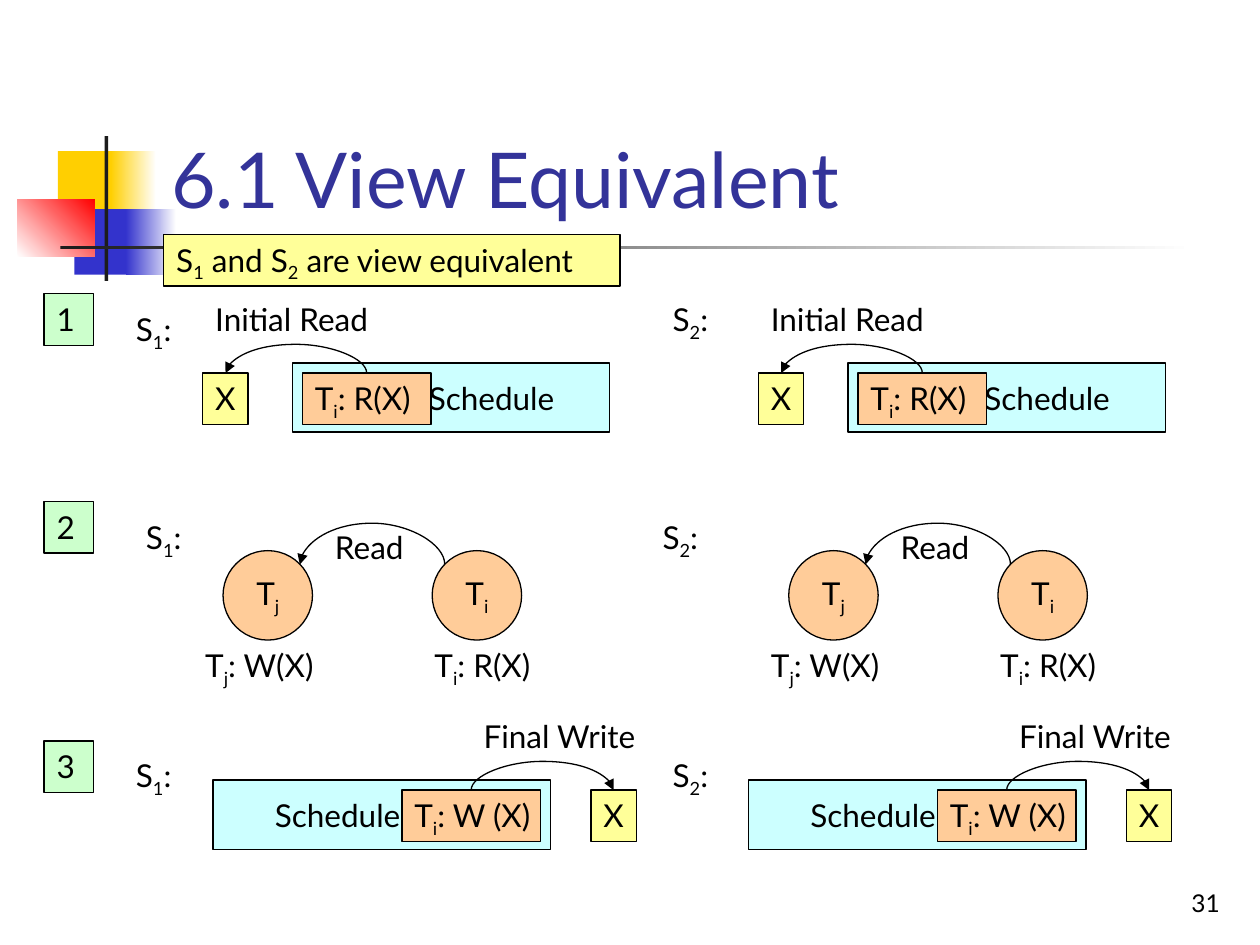
from lxml import etree
from pptx import Presentation
from pptx.dml.color import RGBColor
from pptx.enum.shapes import MSO_CONNECTOR, MSO_SHAPE
from pptx.enum.text import MSO_ANCHOR, PP_ALIGN
from pptx.oxml.ns import qn
from pptx.util import Emu, Inches, Pt

RECT, OVAL = MSO_SHAPE.RECTANGLE, MSO_SHAPE.OVAL
LEFT, CENTER, RIGHT = PP_ALIGN.LEFT, PP_ALIGN.CENTER, PP_ALIGN.RIGHT
TOP, MIDDLE, BOTTOM = MSO_ANCHOR.TOP, MSO_ANCHOR.MIDDLE, MSO_ANCHOR.BOTTOM
FONT = "Lato"
BLACK, GREEN, YELLOW, ORANGE, CYAN = "000000", "CCFFCC", "FFFF99", "FFCC99", "CCFFFF"
LINE_H, BOX_H = 0.4, 0.41
THIN = 1588  # nearly flat extent of an arc, in EMU

# Content: an underscore makes the next character a subscript
TITLE = "6.1 View Equivalent"
CLAIM = "S_1 and S_2 are view equivalent"
PAGE = "31"
CONDITIONS = [("1", 2.33), ("2", 3.98), ("3", 5.88)]
SCHEDULE_LABELS = [
    ("S_1:", 0.98, 2.41), ("S_2:", 5.24, 2.33),
    ("S_1:", 1.06, 4.06), ("S_2:", 5.16, 4.06),
    ("S_1:", 0.98, 5.95), ("S_2:", 5.24, 5.95),
]
# Left edges of the two copies of each diagram
READ_LEFTS, PAIR_LEFTS, WRITE_LEFTS = (1.61, 6.02), (1.53, 6.02), (1.69, 5.94)

# Ornament: left, top, width, height, colours (two make a gradient), angle
ORNAMENT = [
    (0.46, 1.2, 0.48, 0.52, ["FFCF01"], 0),
    (0.88, 1.2, 0.36, 0.52, ["FFCF01", "FFFFFF"], 0),
    (0.59, 1.66, 0.46, 0.52, ["3333CC"], 0),
    (1, 1.66, 0.4, 0.52, ["3333CC", "FFFFFF"], 0),
    (0.14, 1.58, 0.61, 0.46, ["FFFFFF", "FF0000"], 45),
    (0.83, 1.08, 0.03, 1.15, ["1C1C1C"], 0),
    (0.48, 1.95, 9, 0.03, ["1C1C1C", "FFFFFF"], 0),
]

prs = Presentation()
prs.slide_width, prs.slide_height = Inches(10), Inches(7.5)
s = prs.slides.add_slide(prs.slide_layouts[5])


def rgb(value):
    return RGBColor.from_string(value)


def write(sp, text, size=18, color=BLACK, align=LEFT, anchor=TOP, wrap=True):
    tf = sp.text_frame
    tf.word_wrap, tf.vertical_anchor = wrap, anchor
    p = tf.paragraphs[0]
    p.alignment = align
    first, *rest = text.split("_")
    pieces = [(first, False)]
    for part in rest:
        pieces += [(part[0], True), (part[1:], False)]
    for piece, is_sub in pieces:
        if not piece:
            continue
        r = p.add_run()
        r.text = piece
        r.font.name, r.font.size = FONT, Pt(size)
        r.font.color.rgb = rgb(color)
        if is_sub:
            r._r.get_or_add_rPr().set("baseline", "-25000")


def label(text, x, y, w, h=LINE_H, **style):
    sp = s.shapes.add_textbox(Inches(x), Inches(y), Inches(w), Inches(h))
    write(sp, text, **style)


def box(text, x, y, w, h, fill, kind=RECT, **style):
    sp = s.shapes.add_shape(kind, Inches(x), Inches(y), Inches(w), Inches(h))
    sp.shadow.inherit = False
    sp.fill.solid()
    sp.fill.fore_color.rgb = rgb(fill)
    sp.line.color.rgb = rgb(BLACK)
    sp.line.width = Pt(0.75)
    write(sp, text, **style)
    return sp


def schedule(x, y, w, pad_left=0.1, pad_right=0.1):
    sp = box("Schedule", x, y, w, 0.55, CYAN, align=CENTER, anchor=MIDDLE)
    sp.text_frame.margin_left = Inches(pad_left)
    sp.text_frame.margin_right = Inches(pad_right)


def arc(start, end, x1, x2, y, rise, sites=(0, 0)):
    """Curved arrow that leaves one shape upwards and comes down on another."""
    c = s.shapes.add_connector(MSO_CONNECTOR.CURVE, 0, 0, 0, 0)
    c.begin_connect(start, 0)
    c.end_connect(end, 0)
    for tag, site in zip(("a:stCxn", "a:endCxn"), sites):
        next(c._element.iter(qn(tag))).set("idx", str(site))
    # The curve is drawn upright, then turned a quarter
    span = Inches(abs(x2 - x1))
    c.left = Emu(Inches((x1 + x2) / 2) - THIN // 2)
    c.top = Emu(Inches(y) - span // 2)
    c.width, c.height = Emu(THIN), span
    spPr = c._element.spPr
    xfrm = spPr.find(qn("a:xfrm"))
    leftward = x2 < x1
    xfrm.set("rot", str((270 if leftward else 90) * 60000))
    xfrm.set("flipH", "1" if leftward else "0")
    xfrm.set("flipV", "1")
    geom = spPr.find(qn("a:prstGeom"))
    guides = geom.find(qn("a:avLst"))
    if guides is None:
        guides = etree.SubElement(geom, qn("a:avLst"))
    adjust = -round(Inches(rise) / THIN * 100000)
    etree.SubElement(guides, qn("a:gd"), name="adj1", fmla=f"val {adjust}")
    c.line.color.rgb = rgb(BLACK)
    c.line.width = Pt(0.75)
    etree.SubElement(spPr.find(qn("a:ln")), qn("a:tailEnd"), type="triangle")
    etree.SubElement(spPr, qn("a:effectLst"))


def initial_read(x):
    y = 2.96
    schedule(x + 0.71, y - 0.08, 2.52, pad_left=0.74)
    item = box("X", x, y, 0.36, BOX_H, YELLOW, wrap=False)
    action = box("T_i: R(X)", x + 0.79, y, 1.02, BOX_H, ORANGE)
    arc(action, item, x + 1.3, x + 0.18, y, 0.25)
    label("Initial Read", x, 2.33, 1.46)


def read_from(x):
    y, d = 4.37, 0.71
    writer, reader = [
        box(name, x + dx, y, d, d, ORANGE, OVAL, align=CENTER, anchor=MIDDLE, wrap=False)
        for name, dx in (("T_j", 0.24), ("T_i", 1.9))
    ]
    arc(reader, writer, x + 2, x + 0.85, y + 0.11, 0.36, sites=(1, 7))
    label("T_i: R(X)", x + 1.82, y + d, 1.04)
    label("T_j: W(X)", x, y + d, 1.12)
    label("Read", x + 1.03, 4.14, 0.79)


def final_write(x):
    y = 6.27
    schedule(x, y - 0.08, 2.68, pad_right=0.8)
    item = box("X", x + 3, y, 0.36, BOX_H, YELLOW, wrap=False)
    action = box("T_i: W (X)", x + 1.5, y, 1.1, BOX_H, ORANGE, wrap=False)
    arc(action, item, x + 2.05, x + 3.18, y, 0.25)
    label("Final Write", x + 2.05, 5.64, 1.42, wrap=False)


# Ornament behind the title
for x, y, w, h, colors, angle in ORNAMENT:
    sp = s.shapes.add_shape(RECT, Inches(x), Inches(y), Inches(w), Inches(h))
    sp.shadow.inherit = False
    sp.line.fill.background()
    if len(colors) == 1:
        sp.fill.solid()
        sp.fill.fore_color.rgb = rgb(colors[0])
    else:
        sp.fill.gradient()
        sp.fill.gradient_angle = angle
        for stop, color in zip(sp.fill.gradient_stops, colors):
            stop.color.rgb = rgb(color)

# Title, page number and claim
title = s.shapes.title
title.left, title.top = Inches(1.26), Inches(0.23)
title.width, title.height = Inches(8.52), Inches(1.6)
write(title, TITLE, size=44, color="333399", anchor=BOTTOM)
label(PAGE, 7.7, 6.83, 2.08, 0.5, size=14, align=RIGHT, anchor=BOTTOM)
box(CLAIM, 1.3, 1.86, 3.62, BOX_H, YELLOW)

# Condition numbers and schedule names
for number, y in CONDITIONS:
    box(number, 0.35, y, 0.39, BOX_H, GREEN)
for name, x, y in SCHEDULE_LABELS:
    label(name, x, y, 0.55)

# One diagram per condition and schedule
for draw, lefts in ((initial_read, READ_LEFTS), (read_from, PAIR_LEFTS),
                    (final_write, WRITE_LEFTS)):
    for x in lefts:
        draw(x)

prs.save("out.pptx")
